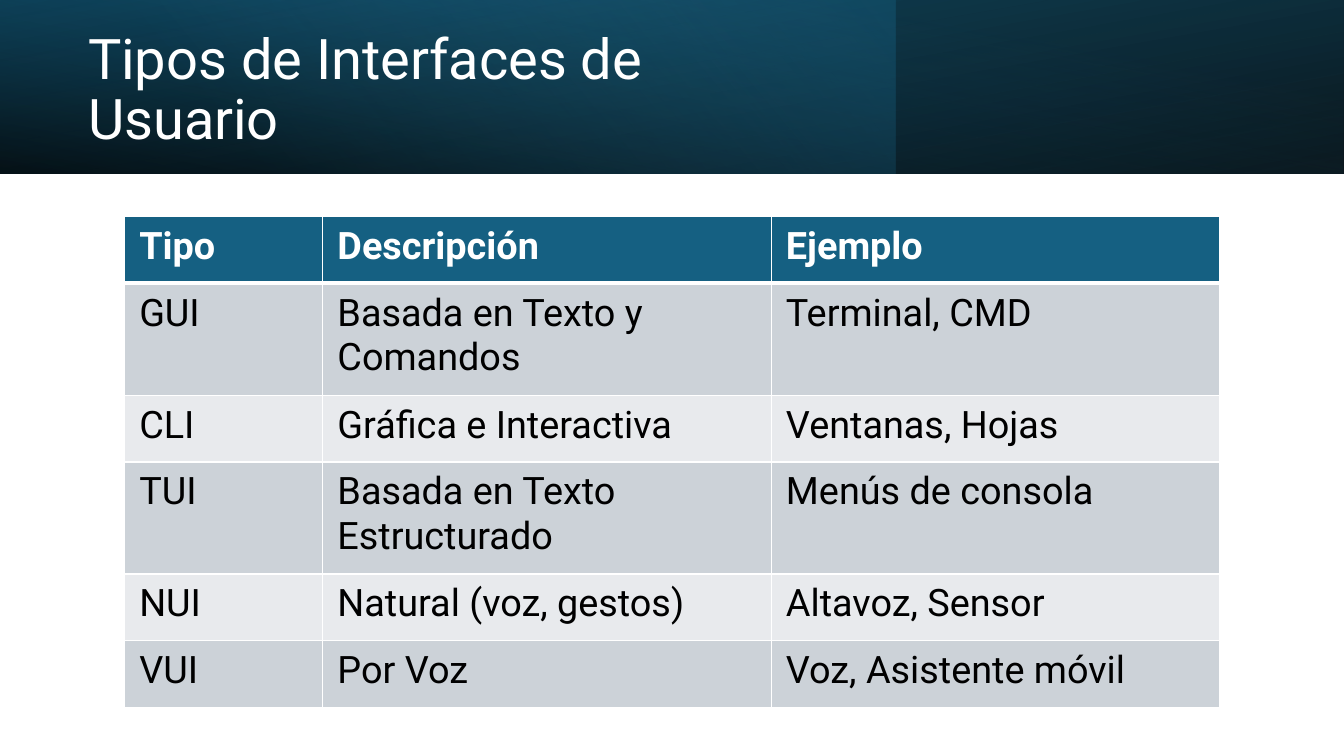
from lxml.etree import SubElement
from pptx import Presentation
from pptx.dml.color import RGBColor
from pptx.enum.shapes import MSO_SHAPE
from pptx.enum.text import MSO_ANCHOR, MSO_AUTO_SIZE, PP_ALIGN
from pptx.oxml import parse_xml
from pptx.oxml.ns import nsdecls, qn
from pptx.util import Pt

WHITE, BLACK, TEAL = "FFFFFF", "000000", "156082"
BAND_HEIGHT = 124


def color(hex_value):
    return RGBColor.from_string(hex_value)


class SlideBuilder:
    font_name = "Roboto"
    title_size = 40
    table_size = 27
    row_fills = ("CCD2D8", "E8EAED")

    def __init__(self, slide):
        self.slide = slide

    def style(self, paragraph, size, hex_value, bold=False):
        font = paragraph.font
        font.name, font.size, font.bold = self.font_name, Pt(size), bold
        font.color.rgb = color(hex_value)

    def gradient_band(self, width, stops, angle, flip=False, rotation=0):
        """Stops are (position %, colour, opacity %); the angle runs clockwise."""
        shape = self.slide.shapes.add_shape(
            MSO_SHAPE.RECTANGLE, 0, 0, Pt(width), Pt(BAND_HEIGHT))
        shape.shadow.inherit = False
        shape.line.fill.background()
        shape.rotation = rotation
        properties = shape._element.spPr
        if flip:
            properties.find(qn("a:xfrm")).set("flipH", "1")
        gradient = parse_xml(f'<a:gradFill {nsdecls("a")} rotWithShape="1"/>')
        stop_list = SubElement(gradient, qn("a:gsLst"))
        for position, hex_value, opacity in stops:
            stop = SubElement(stop_list, qn("a:gs"), pos=str(position * 1000))
            stop_color = SubElement(stop, qn("a:srgbClr"), val=hex_value)
            SubElement(stop_color, qn("a:alpha"), val=str(opacity * 1000))
        SubElement(gradient, qn("a:lin"), ang=str(angle * 60000), scaled="0")
        properties.find(qn("a:prstGeom")).addnext(gradient)

    def title(self, text, left, top, width, height):
        title = self.slide.shapes.title
        title.left, title.top = Pt(left), Pt(top)
        title.width, title.height = Pt(width), Pt(height)
        frame = title.text_frame
        frame.text = text
        frame.word_wrap = True
        frame.auto_size = MSO_AUTO_SIZE.NONE
        frame.vertical_anchor = MSO_ANCHOR.MIDDLE
        paragraph = frame.paragraphs[0]
        paragraph.alignment = PP_ALIGN.LEFT
        paragraph.line_spacing = 0.9
        self.style(paragraph, self.title_size, WHITE)
        # Bring the title in front of the bands
        self.slide.shapes._spTree.append(title._element)

    def borders(self, cell, widths):
        properties = cell._tc.get_or_add_tcPr()
        for index, (side, width) in enumerate(widths.items()):
            properties.insert(index, parse_xml(
                f'<a:ln{side} {nsdecls("a")} w="{Pt(width)}"><a:solidFill>'
                f'<a:srgbClr val="{WHITE}"/></a:solidFill></a:ln{side}>'))

    def cell(self, cell, text, row_index):
        header = row_index == 0
        cell.text = text
        cell.margin_left = cell.margin_right = Pt(10.6)
        cell.margin_top = cell.margin_bottom = Pt(5.4)
        cell.fill.solid()
        cell.fill.fore_color.rgb = color(
            TEAL if header else self.row_fills[(row_index - 1) % 2])
        self.style(cell.text_frame.paragraphs[0], self.table_size,
                   WHITE if header else BLACK, header)
        self.borders(cell, {"L": 1, "R": 1, "T": 3 if row_index == 1 else 1,
                            "B": 3 if header else 1})

    def table(self, rows, left, top, column_widths, row_heights):
        table = self.slide.shapes.add_table(
            len(rows), len(column_widths), Pt(left), Pt(top),
            Pt(sum(column_widths)), Pt(sum(row_heights))).table
        for column, width in zip(table.columns, column_widths):
            column.width = Pt(width)
        for row_index, (texts, height) in enumerate(zip(rows, row_heights)):
            table.rows[row_index].height = Pt(height)
            for column_index, text in enumerate(texts):
                self.cell(table.cell(row_index, column_index), text, row_index)


def main():
    presentation = Presentation()
    presentation.slide_width, presentation.slide_height = Pt(960), Pt(540)
    builder = SlideBuilder(
        presentation.slides.add_slide(presentation.slide_layouts[5]))

    # Header bands
    builder.gradient_band(960, [(0, BLACK, 96), (100, "104862", 100)], 100,
                          flip=True, rotation=180)
    builder.gradient_band(640, [(0, TEAL, 41), (74, "46B1E1", 0)], 140)
    builder.gradient_band(960, [(0, BLACK, 63), (78, TEAL, 15)], 260, flip=True)

    # Title
    builder.title("Tipos de Interfaces de Usuario", 55.7, 19.4, 556, 91.4)

    # Table of interface types
    single, double = 47.6, 80
    builder.table(
        [("Tipo", "Descripción", "Ejemplo"),
         ("GUI", "Basada en Texto y Comandos", "Terminal, CMD"),
         ("CLI", "Gráfica e Interactiva", "Ventanas, Hojas"),
         ("TUI", "Basada en Texto Estructurado", "Menús de consola"),
         ("NUI", "Natural (voz, gestos)", "Altavoz, Sensor"),
         ("VUI", "Por Voz", "Voz, Asistente móvil")],
        88.9, 154.8, [141.6, 320.4, 320.4],
        [single, double, single, double, single, single])

    presentation.save("out.pptx")


if __name__ == "__main__":
    main()
